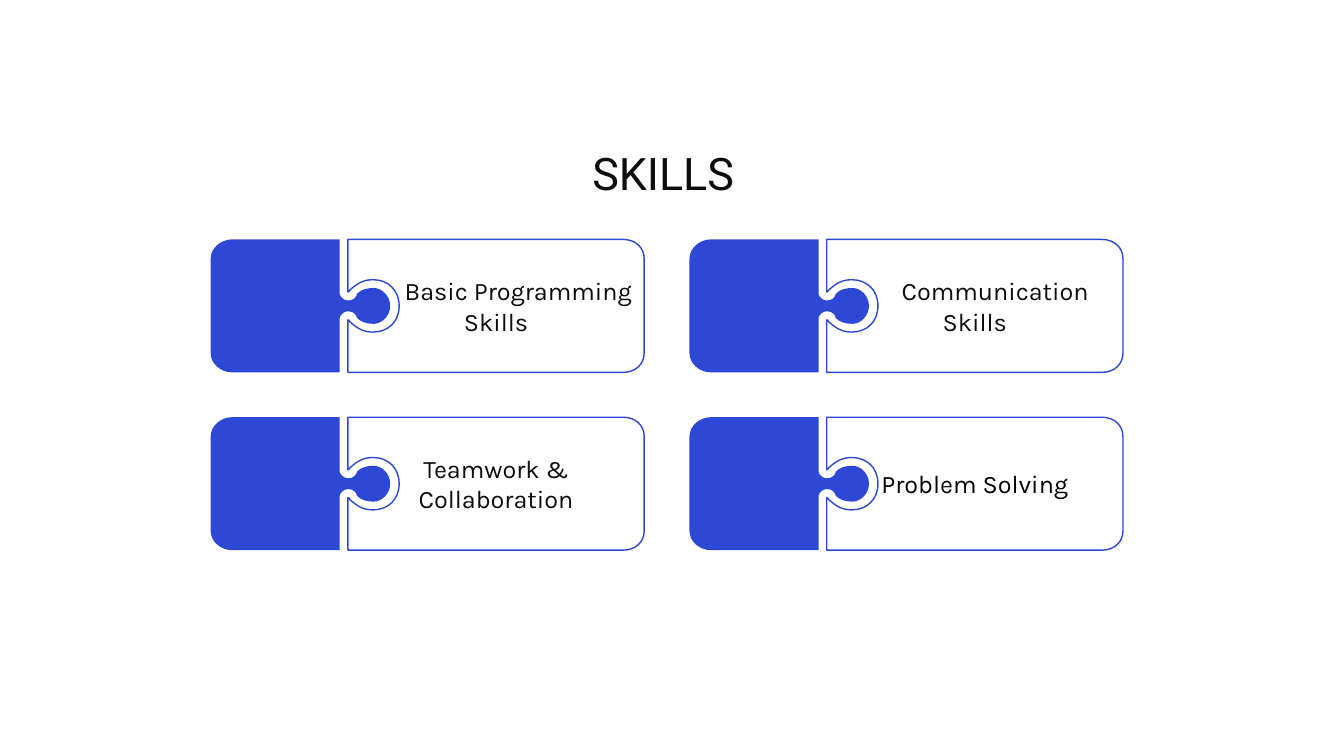
from dataclasses import dataclass

from lxml.etree import SubElement as Sub
from pptx import Presentation
from pptx.dml.color import RGBColor as Rgb
from pptx.enum.text import MSO_ANCHOR as Anchor, PP_ALIGN as Align
from pptx.oxml.ns import qn
from pptx.shapes.autoshape import Shape
from pptx.slide import Slide
from pptx.text.text import _Paragraph as Para
from pptx.util import Pt

Point = tuple[float, float]
Step = tuple[Point, ...]


@dataclass(frozen=True)
class Theme:
    blue: Rgb = Rgb(0x2D, 0x48, 0xD5)
    white: Rgb = Rgb(0xFF, 0xFF, 0xFF)
    ink: Rgb = Rgb(0x0D, 0x0D, 0x0D)
    black: Rgb = Rgb(0, 0, 0)
    title_font: str = "Roboto"
    label_font: str = "Karla"
    title_size: float = 32
    label_size: float = 18
    line: float = 1


@dataclass(frozen=True)
class Card:
    label: str
    col: int
    row: int
    color: Rgb
    indent: float = 0


@dataclass(frozen=True)
class Half:
    """Upper half of a piece: one point is a line, three are a curve."""
    start: Point
    steps: tuple[Step, ...]


THEME = Theme()
LEFT, TOP = 150.5, 171
PITCH_X, PITCH_Y = 342, 127
HEIGHT = 95
MID = HEIGHT / 2

TAB = Half((0, MID), (
    ((0, 13.7),),
    ((0, 6), (7.5, 0), (15.1, 0)),
    ((92.2, 0),),
    ((92.2, 39),),
    ((92.2, 40.5), (95, 43.7), (98, 43.7)),
    ((102.5, 43.7), (104.4, 40.5), (104.4, 39)),
    ((107, 36), (111.5, 34.7), (116.4, 34.7)),
    ((122.4, 34.7), (128.2, 40.5), (128.2, MID)),
))
BODY = Half((134.6, MID), (
    ((134.6, 36.2), (126.7, 28.8), (115.9, 28.8)),
    ((108.7, 28.8), (104.4, 31.7), (99.4, 36.2)),
    ((99.4, 37.5), (98, 37.5), (98, 37.5)),
    ((98, 0),),
    ((294.5, 0),),
    ((303.6, 0), (309.6, 6), (309.6, 13.7)),
    ((309.6, MID),),
))
CARDS = (
    Card("Teamwork & Collaboration", 0, 1, THEME.ink),
    Card("Basic Programming Skills", 0, 0, THEME.ink, 32),
    Card("Problem Solving", 1, 1, THEME.black),
    Card("Communication Skills", 1, 0, THEME.ink, 29),
)


def outline(half: Half) -> list[Step]:
    """Follow the upper half, then its mirror image back to the start."""
    starts = [half.start] + [step[-1] for step in half.steps]
    back = []
    for start, step in zip(starts, half.steps):
        turned = (*reversed(step[:-1]), start)
        back.insert(0, tuple((x, HEIGHT - y) for x, y in turned))
    return [*half.steps, *back]


def bend(piece: Shape, steps: list[Step], left: float, top: float) -> None:
    """Turn the straight segments of curved steps into Bézier curves."""
    lines = list(piece._element.iter(qn("a:lnTo")))
    for line, step in zip(lines, steps):
        if len(step) == 1:
            continue
        line.clear()
        line.tag = qn("a:cubicBezTo")
        for x, y in step:
            Sub(line, qn("a:pt"), x=str(Pt(left + x) - piece.left),
                y=str(Pt(top + y) - piece.top))


def add_piece(slide: Slide, half: Half, left: float, top: float,
              fill: Rgb) -> Shape:
    steps = outline(half)
    points = [(Pt(left + x), Pt(top + y))
              for x, y in (half.start, *(step[-1] for step in steps))]
    pen = slide.shapes.build_freeform(*points[0])
    pen.add_line_segments(points[1:], close=True)
    piece = pen.convert_to_shape()
    bend(piece, steps, left, top)
    piece.shadow.inherit = False
    piece.fill.solid()
    piece.fill.fore_color.rgb = fill
    piece.line.fill.background()
    return piece


def style(para: Para, name: str, size: float, color: Rgb) -> None:
    for run in para.runs:
        run.font.name = name
        run.font.size = Pt(size)
        run.font.color.rgb = color


def indent(para: Para, margin: float, first: float) -> None:
    props = para._p.get_or_add_pPr()
    props.set("marL", str(Pt(margin)))
    props.set("indent", str(Pt(first)))


def add_card(slide: Slide, card: Card) -> None:
    left, top = LEFT + card.col * PITCH_X, TOP + card.row * PITCH_Y
    add_piece(slide, TAB, left, top, THEME.blue)
    body = add_piece(slide, BODY, left, top, THEME.white)
    body.line.color.rgb = THEME.blue
    body.line.width = Pt(THEME.line)
    frame = body.text_frame
    frame.text = card.label
    frame.word_wrap = True
    frame.vertical_anchor = Anchor.MIDDLE
    para = frame.paragraphs[0]
    para.alignment = Align.CENTER
    indent(para, 0, card.indent)
    style(para, THEME.label_font, THEME.label_size, card.color)


def add_title(slide: Slide) -> None:
    box = slide.shapes.add_textbox(Pt(289.5), Pt(100.8), Pt(357), Pt(46))
    frame = box.text_frame
    frame.text = "SKILLS"
    frame.word_wrap = True
    para = frame.paragraphs[0]
    para.alignment = Align.LEFT
    indent(para, 126.5, 0)
    style(para, THEME.title_font, THEME.title_size, THEME.ink)


def main() -> None:
    deck = Presentation()
    deck.slide_width, deck.slide_height = Pt(960), Pt(540)
    slide = deck.slides.add_slide(deck.slide_layouts[6])
    for card in CARDS:
        add_card(slide, card)
    add_title(slide)
    deck.save("out.pptx")


if __name__ == "__main__":
    main()
